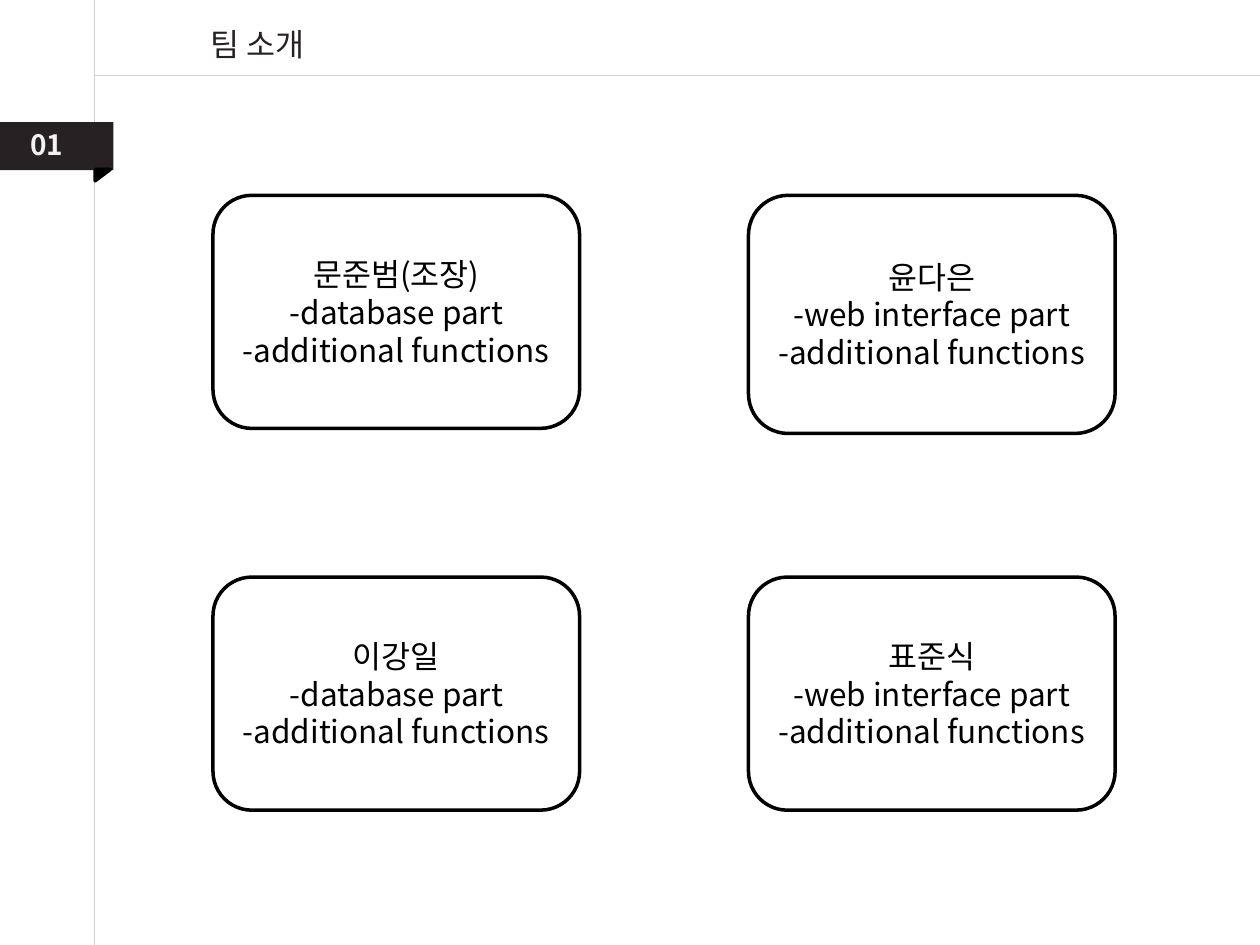
import pptx
import pptx.util
import pptx.dml.color
import pptx.enum.shapes
import pptx.enum.text
import pptx.oxml.ns
from lxml import etree

FONT = "Noto Sans CJK KR"
WIDE, HIGH = 10, 7.5
RAIL, RULE = 0.75, 0.6
TITLE, NUMBER = "팀 소개", "01"
EXTRA = "-additional functions"
TEAM = [
    [("문준범(조장)", "-database part", 1.85), ("윤다은", "-web interface part", 1.89)],
    [("이강일", "-database part", 1.85), ("표준식", "-web interface part", 1.85)],
]
LEFT, TOP, CARD = 1.69, 1.55, 2.91
STEP_X, STEP_Y = 4.25, 3.03

KIND = pptx.enum.shapes.MSO_SHAPE
ALIGN = pptx.enum.text.PP_ALIGN
ANCHOR = pptx.enum.text.MSO_ANCHOR
inch = pptx.util.Inches

deck = pptx.Presentation()
deck.slide_width, deck.slide_height = inch(WIDE), inch(HIGH)
slide = deck.slides.add_slide(deck.slide_layouts[6])


def color(code):
    return pptx.dml.color.RGBColor.from_string(code)


def write(shape, lines, size=18, ink="000000", bold=False, align=ALIGN.CENTER,
          anchor=ANCHOR.TOP, wrap=True):
    frame = shape.text_frame
    frame.word_wrap = wrap
    frame.vertical_anchor = anchor
    for i, line in enumerate(lines):
        para = frame.paragraphs[0] if i == 0 else frame.add_paragraph()
        para.alignment = align
        run = para.add_run()
        run.text = line
        font = run.font
        font.name, font.size, font.bold = FONT, pptx.util.Pt(size), bold
        font.color.rgb = color(ink)
        east = etree.SubElement(font._element, pptx.oxml.ns.qn("a:ea"))
        east.set("typeface", FONT)


def draw(kind, x, y, w, h, fill=None, line=None):
    shape = slide.shapes.add_shape(kind, inch(x), inch(y), inch(w), inch(h))
    shape.shadow.inherit = False
    if fill:
        shape.fill.solid()
        shape.fill.fore_color.rgb = color(fill)
    else:
        shape.fill.background()
    if line:
        shape.line.color.rgb = color(line)
        shape.line.width = pptx.util.Pt(2)
    else:
        shape.line.fill.background()
    return shape


def box(x, y, w, h):
    return slide.shapes.add_textbox(inch(x), inch(y), inch(w), inch(h))


for ends in [(RAIL, 0, RAIL, HIGH), (RAIL, RULE, WIDE, RULE)]:
    rule = slide.shapes.add_connector(
        pptx.enum.shapes.MSO_CONNECTOR.STRAIGHT, *map(inch, ends))
    rule.line.color.rgb = color("D2D2D2")
    rule.line.width = pptx.util.Pt(0.75)
    etree.SubElement(rule._element.spPr, pptx.oxml.ns.qn("a:effectLst"))

write(box(1.14, 0.15, 1.81, 0.4), [TITLE], ink="272123")

draw(KIND.RECTANGLE, 0, 0.97, 0.9, 0.38, fill="272123")
fold = draw(KIND.RIGHT_TRIANGLE, 0.77, 1.33, 0.09, 0.12, fill="000000", line="000000")
fold.rotation = 90
write(box(0.14, 0.96, 0.59, 0.37), [NUMBER], size=16, ink="F2F2F2", bold=True,
      align=ALIGN.LEFT)

for row, pair in enumerate(TEAM):
    for col, (name, part, tall) in enumerate(pair):
        card = draw(KIND.ROUNDED_RECTANGLE, LEFT + col * STEP_X, TOP + row * STEP_Y,
                    CARD, tall, line="000000")
        write(card, [name, part, EXTRA], anchor=ANCHOR.MIDDLE)

deck.save("out.pptx")
